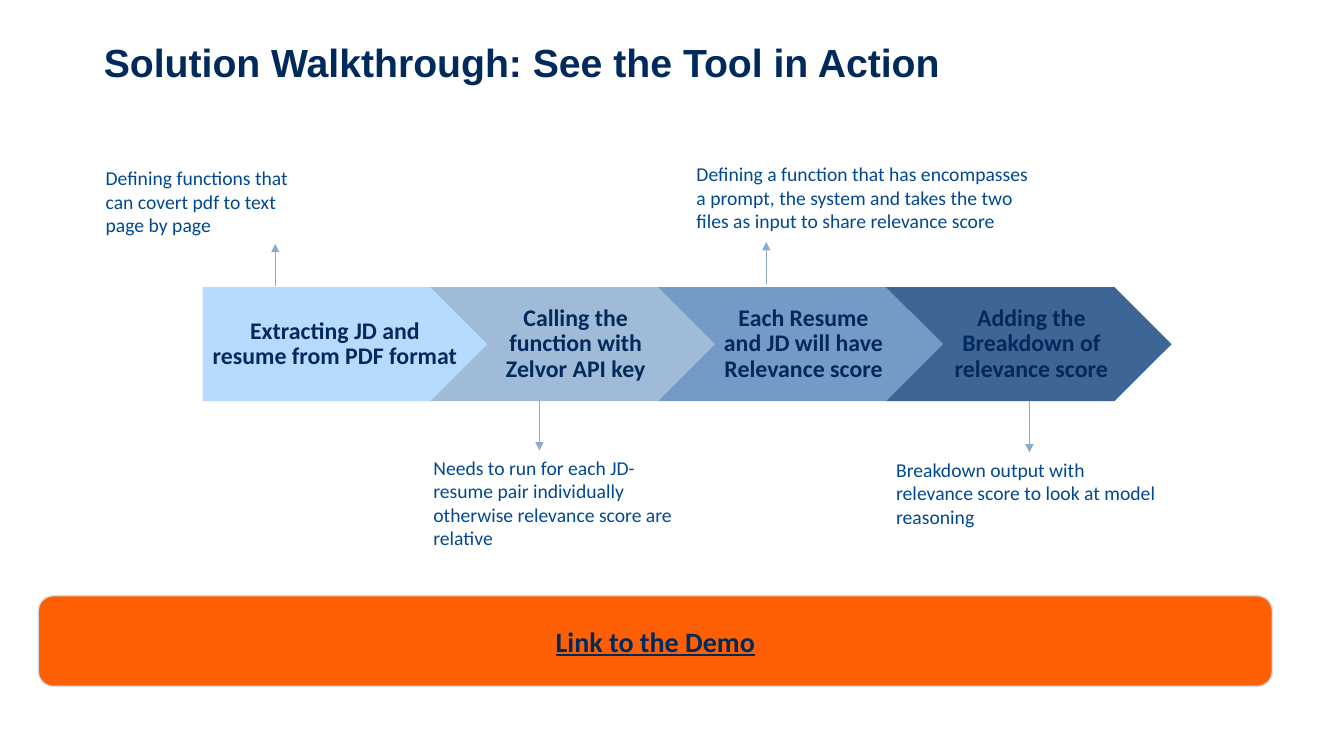
from dataclasses import dataclass

from lxml import etree
from pptx import Presentation
from pptx.dml.color import RGBColor
from pptx.enum.shapes import MSO_CONNECTOR, MSO_SHAPE
from pptx.enum.text import MSO_ANCHOR, MSO_AUTO_SIZE, PP_ALIGN
from pptx.oxml.ns import qn
from pptx.util import Pt

STRAIGHT = MSO_CONNECTOR.STRAIGHT
PENTAGON, CHEVRON = MSO_SHAPE.PENTAGON, MSO_SHAPE.CHEVRON
ROUNDED = MSO_SHAPE.ROUNDED_RECTANGLE
TOP, MIDDLE = MSO_ANCHOR.TOP, MSO_ANCHOR.MIDDLE
LEFT, CENTER = PP_ALIGN.LEFT, PP_ALIGN.CENTER
GROW, FIXED = MSO_AUTO_SIZE.SHAPE_TO_FIT_TEXT, MSO_AUTO_SIZE.NONE
PX = 9144  # EMU per px, 100 px to the inch


@dataclass(frozen=True)
class Theme:
    heading_font: str = "Arial"
    body_font: str = "Calibri"
    ink: str = "00295C"
    note: str = "004991"
    arrow: str = "89ADCE"
    button: str = "FE5F03"
    button_edge: str = "D0DEEB"
    title_size: int = 28
    button_size: int = 20
    step_size: int = 17
    note_size: int = 14


theme = Theme()


def px(*lengths):
    """Turn px lengths into EMU."""
    return [length * PX for length in lengths]


def write(box, text, size, color, font=theme.body_font, bold=True,
          align=CENTER, anchor=MIDDLE, spacing=None):
    frame = box.text_frame
    frame.word_wrap = True
    frame.vertical_anchor = anchor
    frame.text = text
    para = frame.paragraphs[0]
    para.alignment = align
    if spacing:
        para.line_spacing = spacing
    para.font.name = font
    para.font.size = Pt(size)
    para.font.bold = bold
    para.font.color.rgb = RGBColor.from_string(color)
    return para


deck = Presentation()
deck.slide_width, deck.slide_height = px(1333, 750)
page = deck.slides.add_slide(deck.slide_layouts[5])
shapes = page.shapes

title = shapes.title
title.left, title.top, title.width, title.height = px(93, 38, 971, 59)
write(title, "Solution Walkthrough: See the Tool in Action", theme.title_size,
      theme.ink, theme.heading_font, align=LEFT, anchor=TOP, spacing=0.9)
title.text_frame.auto_size = FIXED

# Process steps
STEP_LEFT, STEP_TOP, STEP_WIDTH, STEP_HEIGHT, STEP_PITCH = 201, 285, 283, 113, 226
steps = [
    (PENTAGON, "B6DBFF", 10, "Extracting JD and resume from PDF format"),
    (CHEVRON, "A0BBD8", 7, "Calling the function with Zelvor API key"),
    (CHEVRON, "749BC5", 7, "Each Resume and JD will have Relevance score"),
    (CHEVRON, "3D6694", 7, "Adding the Breakdown of relevance score"),
]
for index, (kind, fill, inset, text) in enumerate(steps):
    step = shapes.add_shape(kind, *px(STEP_LEFT + index * STEP_PITCH, STEP_TOP,
                                      STEP_WIDTH, STEP_HEIGHT))
    step.shadow.inherit = False
    step.fill.solid()
    step.fill.fore_color.rgb = RGBColor.from_string(fill)
    step.line.fill.background()
    frame = step.text_frame
    frame.margin_left, frame.margin_right = px(inset, 2)
    write(step, text, theme.step_size, theme.ink, spacing=0.9)

# Notes: box, then arrow x, start and end
notes = [
    ((95, 160, 230, 81), (273, 284, 242),
     "Defining functions that can covert pdf to text page by page"),
    ((420, 447, 270, 104), (535, 397, 447),
     "Needs to run for each JD-resume pair individually otherwise relevance score are relative"),
    ((681, 156, 353, 81), (760, 282, 240),
     "Defining a function that has encompasses a prompt, the system and takes the two "
     "files as input to share relevance score"),
    ((879, 449, 284, 81), (1021, 398, 449),
     "Breakdown output with relevance score to look at model reasoning"),
]
for place, (x, start, end), text in notes:
    note = shapes.add_textbox(*px(*place))
    write(note, text, theme.note_size, theme.note, bold=False, align=LEFT, anchor=TOP)
    note.text_frame.auto_size = GROW

    arrow = shapes.add_connector(STRAIGHT, *px(x, start, x, end))
    arrow.line.color.rgb = RGBColor.from_string(theme.arrow)
    arrow.line.width = Pt(0.5)
    etree.SubElement(arrow.line._get_or_add_ln(), qn("a:tailEnd"), type="triangle")
    etree.SubElement(arrow._element.spPr, qn("a:effectLst"))
    left, top, width, height = place
    if (x, end) == (left + width // 2, top):
        arrow.end_connect(note, 0)

button = shapes.add_shape(ROUNDED, *px(38, 591, 1224, 90))
button.shadow.inherit = False
button.fill.solid()
button.fill.fore_color.rgb = RGBColor.from_string(theme.button)
button.line.color.rgb = RGBColor.from_string(theme.button_edge)
button.line.width = Pt(1)
label = write(button, "Link to the Demo", theme.button_size, theme.ink)
label.font.underline = True

deck.save("out.pptx")
